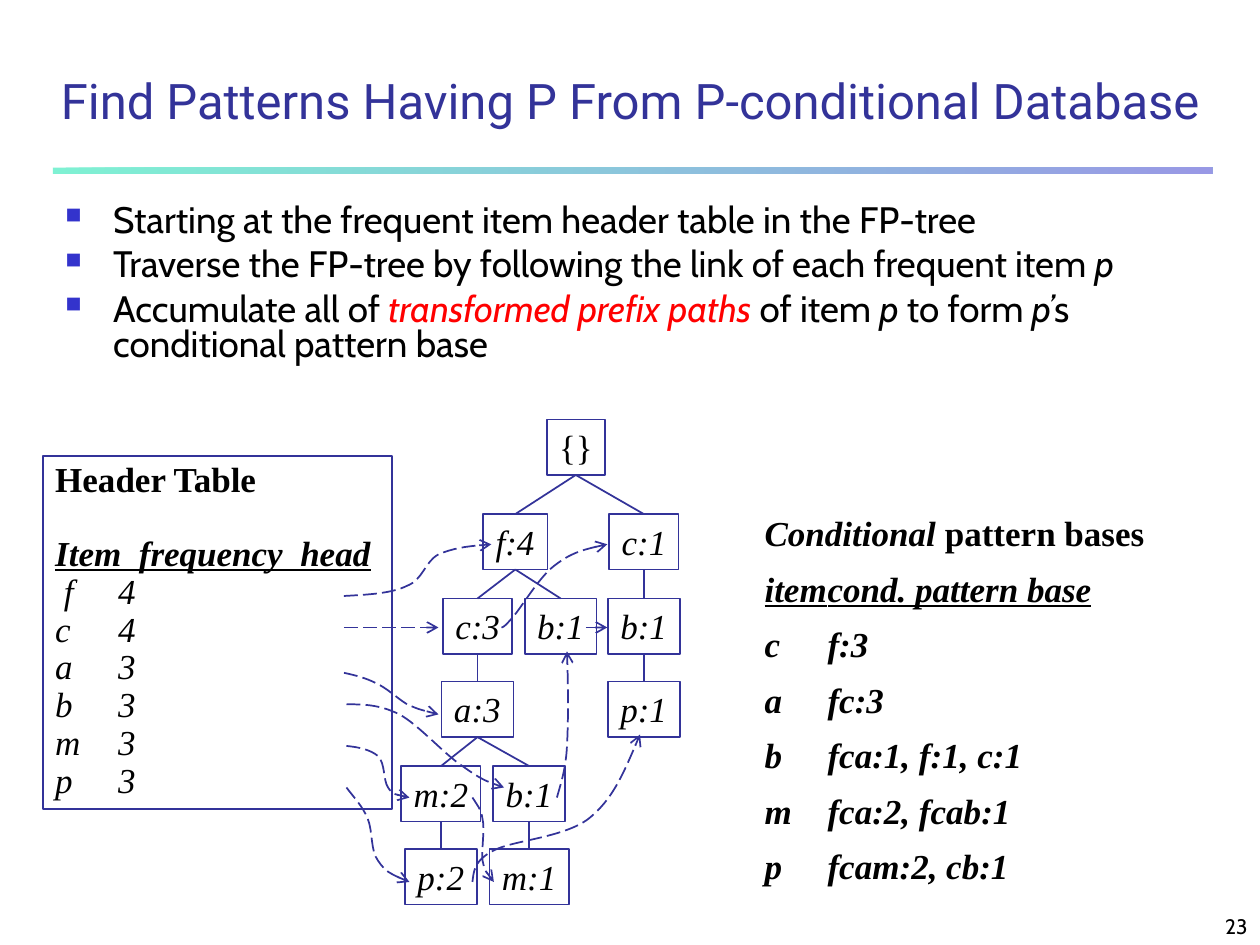
from lxml import etree
from pptx import Presentation, util as u
from pptx.dml.color import RGBColor
from pptx.enum import dml, shapes, text
from pptx.oxml.ns import qn

BLACK, NAVY, BLUE, RED = "000000", "333399", "3333CC", "FF0000"
SERIF, SANS = "Times New Roman", "Cabin"

ROWS = [0, 0.75, 1.42, 2.08, 2.75, 3.41]
NODE_WIDTHS = {"{": 0.46, "f": 0.51, "c": 0.55, "m": 0.63}
NODES = {
    "root": ("{}", 1.84, 0, None),
    "f4": ("f:4", 1.36, 1, "root"),
    "c1": ("c:1", 2.38, 1, "root"),
    "c3": ("c:3", 1.06, 2, "f4"),
    "b1 under f": ("b:1", 1.72, 2, "f4"),
    "b1 under c": ("b:1", 2.38, 2, "c1"),
    "a3": ("a:3", 1.06, 3, "c3"),
    "p1": ("p:1", 2.38, 3, "b1 under c"),
    "m2": ("m:2", 0.77, 4, "a3"),
    "b1 under a": ("b:1", 1.47, 4, "a3"),
    "p2": ("p:2", 0.77, 5, "m2"),
    "m1": ("m:1", 1.47, 5, "b1 under a"),
}
STRAIGHT_LINKS = [(0, 0.75), (1.92, 2.09)]
CURVED_LINKS = [
    [(0, 1.4), (0.19, 1.39), (0.38, 1.38), (0.5, 1.32), (0.63, 1.27), (0.64, 1.13),
     (0.75, 1.07), (0.87, 1.02), (1.02, 1), (1.17, 0.99)],
    [(1.25, 1.65), (1.26, 1.65), (1.27, 1.65), (1.34, 1.57), (1.41, 1.49), (1.55, 1.25),
     (1.67, 1.16), (1.8, 1.06), (1.94, 1.02), (2.09, 0.99)],
    [(0, 2.01), (0.09, 2.03), (0.17, 2.05), (0.25, 2.09), (0.34, 2.13), (0.42, 2.21),
     (0.5, 2.26), (0.59, 2.3), (0.67, 2.32), (0.75, 2.34)],
    [(0.02, 2.26), (0.15, 2.26), (0.28, 2.26), (0.44, 2.34), (0.59, 2.42), (0.8, 2.66),
     (0.94, 2.75), (1.08, 2.85), (1.17, 2.89), (1.27, 2.92)],
    [(1.69, 3), (1.72, 2.89), (1.76, 2.78), (1.77, 2.59), (1.78, 2.39), (1.78, 2.12),
     (1.77, 1.84)],
    [(0.02, 2.59), (0.12, 2.6), (0.21, 2.62), (0.27, 2.67), (0.33, 2.73), (0.31, 2.86),
     (0.35, 2.92), (0.39, 2.98), (0.46, 2.99), (0.52, 3)],
    [(1.02, 3), (1.05, 3.05), (1.09, 3.09), (1.1, 3.17), (1.12, 3.25), (1.09, 3.42),
     (1.1, 3.5), (1.12, 3.59), (1.15, 3.63), (1.19, 3.67)],
    [(0.02, 2.92), (0.08, 3), (0.15, 3.07), (0.19, 3.17), (0.23, 3.27), (0.21, 3.42),
     (0.27, 3.5), (0.33, 3.59), (0.42, 3.63), (0.52, 3.67)],
    [(1.02, 3.67), (1.03, 3.59), (1.03, 3.5), (1.19, 3.42), (1.34, 3.34), (1.74, 3.32),
     (1.94, 3.17), (2.13, 3.02), (2.24, 2.76), (2.35, 2.5)],
]


def color(value):
    """Turn a hex string into a colour."""
    return RGBColor.from_string(value)


def inches(*values):
    """Turn numbers into lengths."""
    return [u.Inches(value) for value in values]


def style_line(line, dashed=False):
    """Give a line its colour and width, and for links dashes and an arrowhead."""
    line.color.rgb = color(NAVY)
    line.width = u.Pt(1)
    if dashed:
        line.dash_style = dml.MSO_LINE.LONG_DASH
        etree.SubElement(line._get_or_add_ln(), qn("a:tailEnd"), type="arrow")


def write(paragraph, content, size, font=SERIF, ink=BLACK, **style):
    """Fill a paragraph with text in one style."""
    paragraph.text = content
    paragraph.alignment = text.PP_ALIGN.LEFT
    paragraph.font.name = font
    paragraph.font.size = u.Pt(size)
    paragraph.font.color.rgb = color(ink)
    for name, value in style.items():
        setattr(paragraph.font, name, value)
    return paragraph


def add_frame(slide, *box, outlined=False):
    """Add a wrapping text frame, with an outlined rectangle if asked."""
    if outlined:
        shape = slide.shapes.add_shape(shapes.MSO_SHAPE.RECTANGLE, *inches(*box))
        shape.shadow.inherit = False
        shape.fill.background()
        style_line(shape.line)
    else:
        shape = slide.shapes.add_textbox(*inches(*box))
    frame = shape.text_frame
    frame.word_wrap = True
    frame.vertical_anchor = text.MSO_ANCHOR.TOP
    return frame


def add_paragraphs(frame, count):
    """Return the given number of paragraphs of a new frame."""
    return [frame.paragraphs[0]] + [frame.add_paragraph() for _ in range(count - 1)]


def add_line(slide, start, end, dashed=False):
    """Draw a straight line between two points."""
    line = slide.shapes.add_connector(shapes.MSO_CONNECTOR.STRAIGHT, *inches(*start, *end))
    style_line(line.line, dashed)
    etree.SubElement(line._element.spPr, qn("a:effectLst"))


def add_curve(slide, points):
    """Draw a dashed arrow along Bezier control points."""
    start, *rest = [tuple(inches(*point)) for point in points]
    builder = slide.shapes.build_freeform(*start)
    builder.add_line_segments(rest, close=False)
    shape = builder.convert_to_shape()
    shape.shadow.inherit = False
    shape.fill.background()
    style_line(shape.line, dashed=True)
    outline = shape._element.spPr.find(".//" + qn("a:path"))
    segments = outline.findall(qn("a:lnTo"))
    for index in range(0, len(segments), 3):
        curve = etree.SubElement(outline, qn("a:cubicBezTo"))
        for segment in segments[index:index + 3]:
            curve.append(segment[0])
            outline.remove(segment)


def add_heading(slide, left, top, width):
    """Place the title, its gradient rule and the slide number."""
    rule = slide.shapes.add_shape(
        shapes.MSO_SHAPE.RECTANGLE, *inches(left + 0.42, top + 1, 9.2, 0.05))
    rule.shadow.inherit = False
    rule.line.fill.background()
    rule.fill.gradient()
    rule.fill.gradient_angle = 0
    for stop, ink, position in zip(rule.fill.gradient_stops, ("00E4A8", BLUE), (0, 1)):
        stop.color.rgb = color(ink)
        stop.position = position
    for ink in rule._element.spPr.iter(qn("a:srgbClr")):
        etree.SubElement(ink, qn("a:alpha"), val="50000")
    title = add_frame(slide, left, top, width, 0.75)
    number = add_frame(slide, left + width - 2.08, top + 6.75, 2.08, 0.42)
    title.vertical_anchor = number.vertical_anchor = text.MSO_ANCHOR.BOTTOM
    paragraph = write(title.paragraphs[0], "Find Patterns Having P From P-conditional Database",
                      28, "Roboto", NAVY)
    paragraph.alignment = text.PP_ALIGN.CENTER
    paragraph.line_spacing = 0.9
    write(number.paragraphs[0], "23", 12, SANS).alignment = text.PP_ALIGN.RIGHT


def add_steps(slide, *box):
    """Place the bulleted steps, with item names in italics."""
    steps = [
        [("Starting at the frequent item header table in the FP-tree", False)],
        [("Traverse the FP-tree by following the link of each frequent item ", False),
         ("p", True)],
        [("Accumulate all of ", False), ("transformed prefix paths", True),
         (" of item ", False), ("p ", True), ("to form ", False), ("p’", True),
         ("s conditional pattern base", False)],
    ]
    for paragraph, runs in zip(add_paragraphs(add_frame(slide, *box), len(steps)), steps):
        write(paragraph, "", 21, SANS)
        paragraph.line_spacing = 0.8
        paragraph.space_before = u.Pt(5.2)
        for content, italic in runs:
            run = paragraph.add_run()
            run.text = content
            run.font.italic = italic
            if content.startswith("transformed"):
                run.font.color.rgb = color(RED)
        properties = paragraph._p.get_or_add_pPr()
        properties.set("marL", str(u.Inches(0.38)))
        properties.set("indent", str(-u.Inches(0.38)))
        bullet = etree.Element(qn("a:buClr"))
        etree.SubElement(bullet, qn("a:srgbClr"), val=BLUE)
        size = etree.Element(qn("a:buSzPct"), val="60000")
        mark = etree.Element(qn("a:buChar"), char="■")
        default = properties.find(qn("a:defRPr"))
        for element in (bullet, size, mark):
            default.addprevious(element)


def add_pattern_bases(slide, *box):
    """Place the list of conditional pattern bases."""
    rows = ["item\tcond. pattern base", "c\tf:3", "a\tfc:3", "b\tfca:1, f:1, c:1",
            "m\tfca:2, fcab:1", "p\tfcam:2, cb:1"]
    heading, *lines = add_paragraphs(add_frame(slide, *box), len(rows) + 1)
    write(heading, "", 20, bold=True)
    heading.space_before = u.Pt(12.5)
    for content, italic in (("Conditional ", True), ("pattern bases", False)):
        run = heading.add_run()
        run.text = content
        run.font.italic = italic
    for index, (paragraph, row) in enumerate(zip(lines, rows)):
        write(paragraph, row, 20, bold=True, italic=True, underline=index == 0)
        paragraph.line_spacing = 0.8
        paragraph.space_before = u.Pt(12.5)


def add_header_table(slide, *box):
    """Place the outlined header table of item counts."""
    rows = ["Header Table", "Item  frequency  head ", " f\t4", "c\t4", "a\t3", "b\t3",
            "m\t3", "p\t3"]
    frame = add_frame(slide, *box, outlined=True)
    for index, (paragraph, row) in enumerate(zip(add_paragraphs(frame, len(rows)), rows)):
        write(paragraph, row, 20, bold=index < 2, italic=index > 0, underline=index == 1)
        paragraph.line_spacing = 0.9
        paragraph.space_before = u.Pt(20.7 if index == 1 else 0)


def add_tree(slide, left, top):
    """Place the tree nodes, their branches and the dashed node links."""
    height = 0.44
    for label, center, row, parent in NODES.values():
        width = NODE_WIDTHS.get(label[0], 0.57)
        frame = add_frame(slide, left + center - width / 2, top + ROWS[row], width, height,
                          outlined=True)
        frame.word_wrap = False
        write(frame.paragraphs[0], label, 20, italic=parent is not None)
        if parent:
            _, parent_center, parent_row, _ = NODES[parent]
            add_line(slide, (left + parent_center, top + ROWS[parent_row] + height),
                     (left + center, top + ROWS[row]))
    for start, end in STRAIGHT_LINKS:
        add_line(slide, (left + start, top + 1.65), (left + end, top + 1.65), dashed=True)
    for points in CURVED_LINKS:
        add_curve(slide, [(left + x, top + y) for x, y in points])


presentation = Presentation()
presentation.slide_width, presentation.slide_height = inches(10, 7.5)
slide = presentation.slides.add_slide(presentation.slide_layouts[6])
add_heading(slide, 0, 0.33, 10)
add_steps(slide, 0.42, 1.58, 9.17, 1.67)
add_pattern_bases(slide, 5.97, 4.01, 3.64, 3.08)
add_header_table(slide, 0.34, 3.62, 2.77, 2.8)
add_tree(slide, 2.73, 3.33)
presentation.save("out.pptx")
